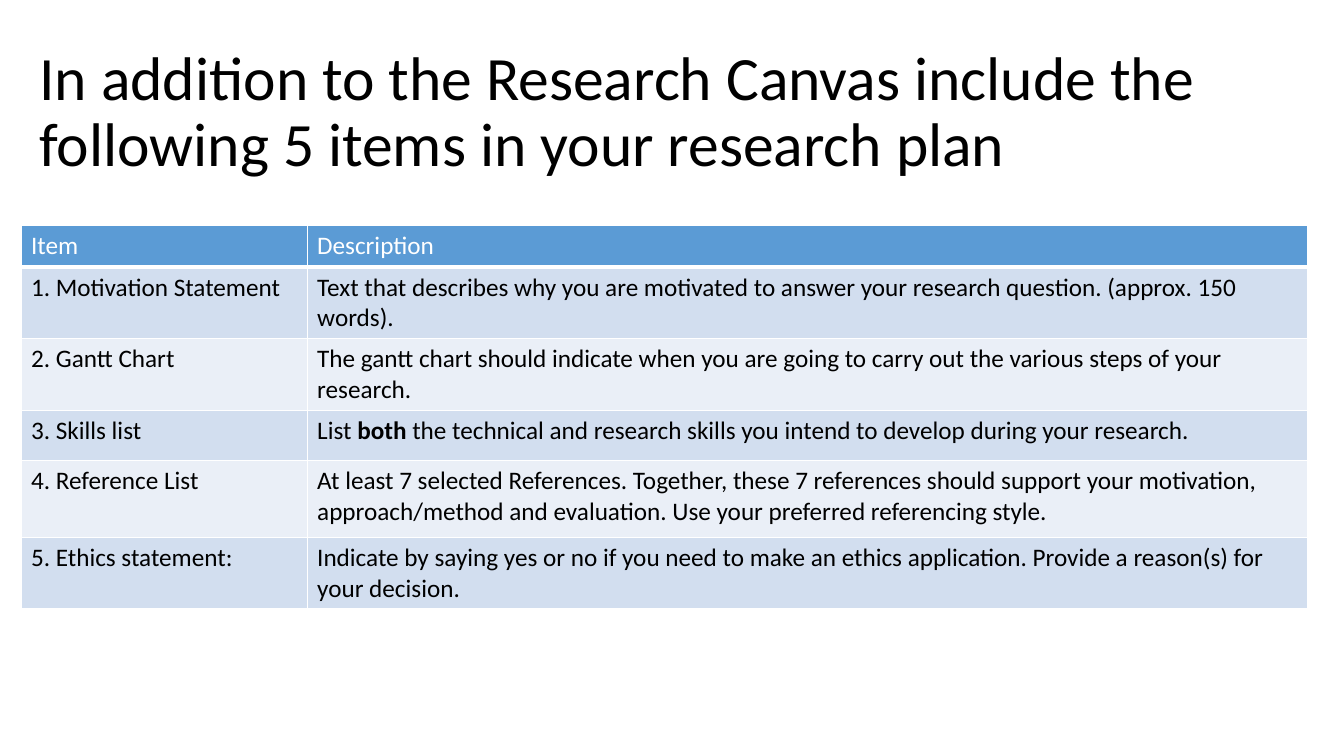
from dataclasses import dataclass

from lxml.etree import SubElement
from pptx import Presentation
from pptx.dml.color import RGBColor
from pptx.enum.text import MSO_ANCHOR, PP_ALIGN
from pptx.oxml.ns import qn
from pptx.slide import Slide
from pptx.table import _Cell
from pptx.text.text import _Run
from pptx.util import Cm, Pt

FONT = "Calibri"
WHITE, BLACK = "FFFFFF", "000000"
HEADER_FILL = "5B9BD5"
BAND_FILLS = ("EAEFF7", "D2DEEF")
COLUMN_WIDTHS = (7.21, 25.22)


@dataclass(frozen=True)
class PlanRow:
    item: str
    description: str
    height: float
    emphasis: str = ""


PLAN_ROWS = [
    PlanRow("Item", "Description", 1.04),
    PlanRow(
        "1. Motivation Statement",
        "Text that describes why you are motivated to answer your research question. (approx. 150 words).",
        1.04,
    ),
    PlanRow(
        "2. Gantt Chart",
        "The gantt chart should indicate when you are going to carry out the various steps of your research.",
        1.19,
    ),
    PlanRow(
        "3. Skills list",
        "List both the technical and research skills you intend to develop during your research.",
        1.27,
        emphasis="both ",
    ),
    PlanRow(
        "4. Reference List",
        "At least 7 selected References. Together, these 7 references should support your motivation, "
        "approach/method and evaluation. Use your preferred referencing style.",
        1.93,
    ),
    PlanRow(
        "5. Ethics statement:",
        "Indicate by saying yes or no if you need to make an ethics application. "
        "Provide a reason(s) for your decision.",
        1.73,
    ),
]


def rgb(value: str) -> RGBColor:
    return RGBColor.from_string(value)


def format_run(run: _Run, size: float, color: str, bold: bool = False) -> None:
    run.font.name = FONT
    run.font.size = Pt(size)
    run.font.bold = bold
    run.font.color.rgb = rgb(color)


def add_borders(cell: _Cell, bottom_width: float) -> None:
    properties = cell._tc.get_or_add_tcPr()
    for side, width in (("L", 1), ("R", 1), ("T", 1), ("B", bottom_width)):
        border = SubElement(properties, qn(f"a:ln{side}"), w=str(Pt(width)))
        fill = SubElement(border, qn("a:solidFill"))
        SubElement(fill, qn("a:srgbClr"), val=WHITE)


def fill_cell(cell: _Cell, text: str, emphasis: str, row_index: int) -> None:
    is_header = row_index == 0
    add_borders(cell, bottom_width=3 if is_header else 1)
    cell.fill.solid()
    cell.fill.fore_color.rgb = rgb(HEADER_FILL if is_header else BAND_FILLS[row_index % 2])
    paragraph = cell.text_frame.paragraphs[0]
    if emphasis:
        before, after = text.split(emphasis)
        for part in (before, emphasis, after):
            paragraph.add_run().text = part
    else:
        paragraph.text = text
    for run in paragraph.runs:
        format_run(run, 18, WHITE if is_header else BLACK, bold=run.text == emphasis)


def add_title(slide: Slide, text: str) -> None:
    title = slide.shapes.title
    title.left, title.top, title.width, title.height = Cm(0.74), Cm(1.02), Cm(32.72), Cm(3.68)
    title.text_frame.text = text
    title.text_frame.word_wrap = True
    title.text_frame.vertical_anchor = MSO_ANCHOR.MIDDLE
    paragraph = title.text_frame.paragraphs[0]
    paragraph.alignment = PP_ALIGN.LEFT
    paragraph.line_spacing = 0.9
    format_run(paragraph.runs[0], 44, BLACK)


def add_plan_table(slide: Slide, rows: list[PlanRow]) -> None:
    plan = slide.shapes.add_table(
        len(rows), len(COLUMN_WIDTHS), Cm(0.53), Cm(5.69),
        Cm(sum(COLUMN_WIDTHS)), Cm(sum(row.height for row in rows)),
    ).table
    for column, width in zip(plan.columns, COLUMN_WIDTHS):
        column.width = Cm(width)
    for index, row in enumerate(rows):
        plan.rows[index].height = Cm(row.height)
        fill_cell(plan.cell(index, 0), row.item, "", index)
        fill_cell(plan.cell(index, 1), row.description, row.emphasis, index)


def main() -> None:
    presentation = Presentation()
    presentation.slide_width, presentation.slide_height = Cm(33.87), Cm(19.05)
    slide = presentation.slides.add_slide(presentation.slide_layouts[5])
    add_title(
        slide,
        "In addition to the Research Canvas include the following 5 items in your research plan",
    )
    add_plan_table(slide, PLAN_ROWS)
    presentation.save("out.pptx")


if __name__ == "__main__":
    main()
